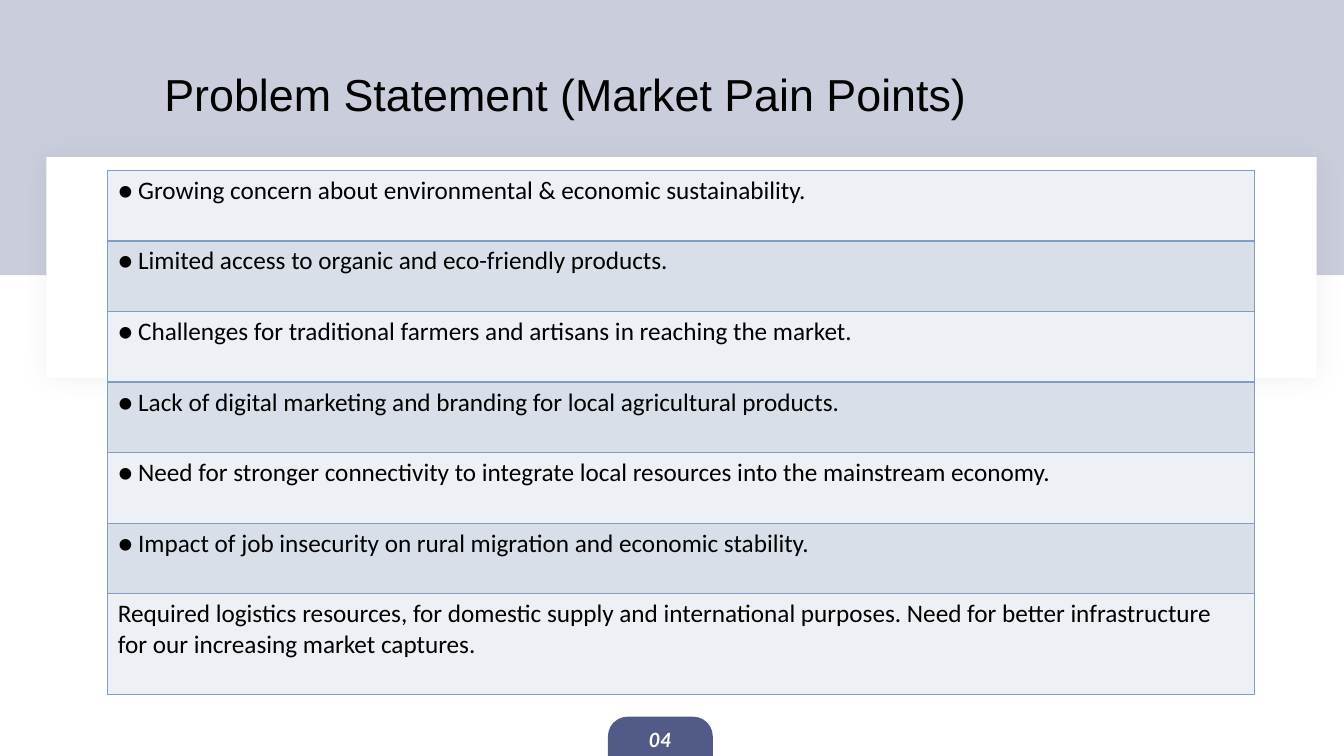
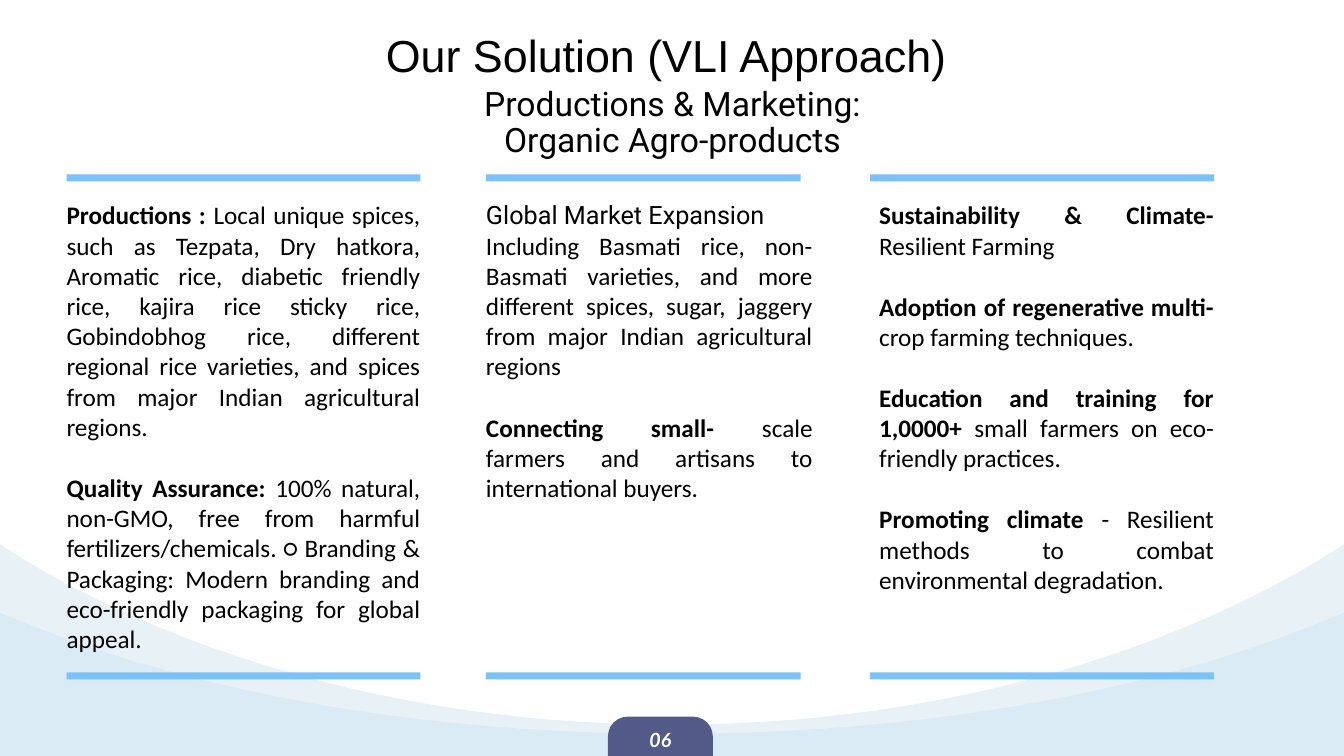
from dataclasses import dataclass
from typing import NamedTuple

from lxml.etree import SubElement
from pptx import Presentation
from pptx.dml.color import RGBColor
from pptx.enum.shapes import MSO_SHAPE
from pptx.enum.text import MSO_ANCHOR, MSO_AUTO_SIZE, PP_ALIGN
from pptx.oxml.ns import qn
from pptx.util import Inches, Pt


@dataclass(frozen=True)
class Theme:
    """Colours, fonts and type sizes shared by the slides."""
    ink: str = "000000"
    white: str = "FFFFFF"
    indigo: str = "525B88"
    sky: str = "7AC2F9"
    mist: str = "E8F1F6"
    row_light: str = "EDF0F4"
    row_dark: str = "D8DFE9"
    row_border: str = "809EC2"
    title_font: str = "Arial"
    accent_font: str = "Roboto"
    body_font: str = "Calibri"
    badge_font: str = "Lato"
    title_size: int = 32
    subtitle_size: int = 24
    body_size: int = 18
    badge_size: int = 14


THEME = Theme()
SLIDE_WIDTH, SLIDE_HEIGHT = 13.33, 7.5


class Box(NamedTuple):
    """A rectangle in inches."""
    left: float
    top: float
    width: float
    height: float

    def emu(self):
        """Return the four lengths for python-pptx."""
        return [Inches(length) for length in self]


class Column(NamedTuple):
    """One solution column: its rules, its text area and its content."""
    left: float
    width: float
    text_left: float
    text_width: float
    heading: str
    points: list


PAIN_POINTS = [
    "Growing concern about environmental & economic sustainability.",
    "Limited access to organic and eco-friendly products.",
    "Challenges for traditional farmers and artisans in reaching the market.",
    "Lack of digital marketing and branding for local agricultural products.",
    "Need for stronger connectivity to integrate local resources into the mainstream economy.",
    "Impact of job insecurity on rural migration and economic stability.",
]
LOGISTICS_NEED = (
    "Required logistics resources, for domestic supply and international purposes. "
    "Need for better infrastructure for our increasing market captures."
)
COLUMNS = [
    Column(0.66, 3.51, 0.66, 3.51, "", [
        ("Productions : ",
         "Local unique spices, such as Tezpata, Dry hatkora, Aromatic rice, diabetic "
         "friendly rice, kajira rice sticky rice, Gobindobhog rice, different regional "
         "rice varieties, and spices from major Indian agricultural regions."),
        ("Quality Assurance: ",
         "100% natural, non-GMO, free from harmful fertilizers/chemicals. ○ Branding & "
         "Packaging: Modern branding and eco-friendly packaging for global appeal."),
    ]),
    Column(4.82, 3.12, 4.82, 3.24, "Global Market Expansion", [
        ("",
         "Including Basmati rice, non-Basmati varieties, and more different spices, "
         "sugar, jaggery from major Indian agricultural regions"),
        ("Connecting small- ", "scale farmers and artisans to international buyers."),
    ]),
    Column(8.63, 3.41, 8.72, 3.32, "", [
        ("Sustainability & Climate-", "Resilient Farming"),
        ("Adoption of regenerative multi-", " crop farming techniques."),
        ("Education and training for 1,0000+ ",
         "small farmers on eco- friendly practices."),
        ("Promoting climate ",
         "- Resilient methods to combat environmental degradation."),
    ]),
]


def add_text(paragraph, text, *, font=THEME.body_font, size=THEME.body_size,
             color=THEME.ink, bold=False, italic=False):
    """Append a formatted run to a paragraph."""
    run = paragraph.add_run()
    run.text = text
    run.font.name = font
    run.font.size = Pt(size)
    run.font.color.rgb = RGBColor.from_string(color)
    run.font.bold = bold
    run.font.italic = italic


def next_paragraph(frame, *, align=PP_ALIGN.LEFT, before=0, spacing=1.0, bullet="", indent=0.2):
    """Return the next free paragraph of a frame, laid out."""
    first = frame.paragraphs[0]
    paragraph = frame.add_paragraph() if first.runs else first
    properties = paragraph._p.get_or_add_pPr()
    hang = Inches(indent) if bullet else 0
    properties.set("marL", str(hang))
    properties.set("indent", str(-hang))
    if bullet:
        SubElement(properties, qn("a:buFont"), typeface=THEME.body_font)
        SubElement(properties, qn("a:buChar"), char=bullet)
    else:
        SubElement(properties, qn("a:buNone"))
    paragraph.alignment = align
    paragraph.space_before = Pt(before)
    paragraph.line_spacing = spacing
    return paragraph


def place(placeholder, box):
    """Move a placeholder to a box, on top, and return its cleared frame."""
    placeholder.left, placeholder.top, placeholder.width, placeholder.height = box.emu()
    tree = placeholder.element.getparent()
    tree.append(placeholder.element)
    frame = placeholder.text_frame
    frame.margin_left = frame.margin_right = frame.margin_top = frame.margin_bottom = 0
    frame.word_wrap = True
    frame.auto_size = MSO_AUTO_SIZE.NONE
    frame.vertical_anchor = MSO_ANCHOR.TOP
    return frame


def paint(shape, color, alpha=100):
    """Give a shape a plain fill without line or shadow."""
    shape.shadow.inherit = False
    shape.fill.solid()
    shape.fill.fore_color.rgb = RGBColor.from_string(color)
    shape.line.fill.background()
    if alpha < 100:
        SubElement(shape.element.spPr.find(".//" + qn("a:srgbClr")), qn("a:alpha"),
                   val=str(alpha * 1000))
    return shape


def add_block(slide, box, color, alpha=100, preset=MSO_SHAPE.RECTANGLE):
    """Add a filled preset shape."""
    return paint(slide.shapes.add_shape(preset, *box.emu()), color, alpha)


def add_glow(shape, blur, alpha):
    """Add a soft centred black shadow."""
    effects = shape.element.spPr.find(qn("a:effectLst"))
    shadow = SubElement(effects, qn("a:outerShdw"), blurRad=str(Pt(blur)), dist="0", dir="0",
                        algn="ctr", rotWithShape="0")
    SubElement(SubElement(shadow, qn("a:srgbClr"), val=THEME.ink), qn("a:alpha"),
               val=str(alpha * 1000))


def add_title(slide, text, box, align=PP_ALIGN.LEFT):
    """Fill the title placeholder."""
    paragraph = next_paragraph(place(slide.shapes.title, box), align=align)
    add_text(paragraph, text, font=THEME.title_font, size=THEME.title_size)


def add_page_badge(slide, number):
    """Add the page number tab at the bottom edge."""
    badge = add_block(slide, Box(6.03, 7.11, 1.04, 0.39), THEME.indigo,
                      preset=MSO_SHAPE.ROUND_2_SAME_RECTANGLE)
    badge.adjustments[0] = 0.5
    frame = badge.text_frame
    frame.vertical_anchor = MSO_ANCHOR.MIDDLE
    add_text(next_paragraph(frame, align=PP_ALIGN.CENTER), number, font=THEME.badge_font,
             size=THEME.badge_size, color=THEME.white, bold=True, italic=True)


def set_borders(cell, color, width=1):
    """Draw the four borders of a table cell."""
    properties = cell._tc.get_or_add_tcPr()
    for side in ("lnL", "lnR", "lnT", "lnB"):
        line = SubElement(properties, qn(f"a:{side}"), w=str(Pt(width)))
        SubElement(SubElement(line, qn("a:solidFill")), qn("a:srgbClr"), val=color)


def add_pain_table(slide, box, last_height=1.0):
    """Add the banded table of pain points."""
    statements = [(point, "●") for point in PAIN_POINTS] + [(LOGISTICS_NEED, "")]
    table = slide.shapes.add_table(len(statements), 1, *box.emu()).table
    table.first_row = table.horz_banding = False
    row_height = (box.height - last_height) / len(PAIN_POINTS)
    for index, (statement, bullet) in enumerate(statements):
        table.rows[index].height = Inches(row_height if bullet else last_height)
        cell = table.cell(index, 0)
        set_borders(cell, THEME.row_border)
        cell.fill.solid()
        band = THEME.row_dark if index % 2 else THEME.row_light
        cell.fill.fore_color.rgb = RGBColor.from_string(band)
        add_text(next_paragraph(cell.text_frame, bullet=bullet), statement)


def curve(start, control_a, control_b, end, steps=24):
    """Return points along a cubic curve after its start."""
    points = []
    for step in range(1, steps + 1):
        t = step / steps
        weights = ((1 - t) ** 3, 3 * t * (1 - t) ** 2, 3 * t ** 2 * (1 - t), t ** 3)
        points.append(tuple(
            sum(weight * value for weight, value in zip(weights, axis))
            for axis in zip(start, control_a, control_b, end)))
    return points


def add_wave(slide, box, shoulder, slope, trough, color, alpha=100):
    """Add a symmetric valley-shaped wave whose depths are relative to its box."""
    middle = box.width / 2
    left_half = [(0, 0), (0.25, shoulder)]
    left_half += curve((0.25, shoulder), (1.94, slope), (4.2, trough), (middle, trough))
    right_half = [(box.width - x, y) for x, y in reversed(left_half[:-1])]
    outline = left_half + right_half + [(box.width, box.height), (0, box.height)]
    points = [(Inches(box.left + x), Inches(box.top + y)) for x, y in outline]
    builder = slide.shapes.build_freeform(*points[0])
    builder.add_line_segments(points[1:], close=True)
    paint(builder.convert_to_shape(), color, alpha)


def add_subtitle(placeholder, box, lines):
    """Add the centred subtitle lines."""
    frame = place(placeholder, box)
    for line in lines:
        paragraph = next_paragraph(frame, align=PP_ALIGN.CENTER, spacing=Pt(26))
        add_text(paragraph, line, font=THEME.accent_font, size=THEME.subtitle_size)


def add_column(slide, placeholder, column, top, bottom):
    """Add one text column between its two rules."""
    for rule_top in (top, bottom):
        add_block(slide, Box(column.left, rule_top, column.width, 0.07), THEME.sky)
    text_box = Box(column.text_left, top + 0.25, column.text_width, bottom - top - 0.4)
    frame = place(placeholder, text_box)
    if column.heading:
        add_text(next_paragraph(frame, align=PP_ALIGN.JUSTIFY), column.heading,
                 font=THEME.accent_font)
    for index, (lead, detail) in enumerate(column.points):
        paragraph = next_paragraph(frame, align=PP_ALIGN.JUSTIFY, before=22 if index else 0)
        if lead:
            add_text(paragraph, lead, bold=True)
        add_text(paragraph, detail)


def build_problem_slide(deck):
    """Build the problem statement slide."""
    slide = deck.slides.add_slide(deck.slide_layouts.get_by_name("Title Only"))
    add_block(slide, Box(-0.02, 0, 13.35, 2.73), THEME.indigo, alpha=30)
    panel = add_block(slide, Box(0.46, 1.56, 12.6, 2.19), THEME.white)
    add_glow(panel, blur=20, alpha=5)
    add_title(slide, "Problem Statement (Market Pain Points)", Box(1.63, 0.66, 8.73, 0.54))
    add_pain_table(slide, Box(1.07, 1.69, 11.37, 5.2))
    add_page_badge(slide, "04")


def build_solution_slide(deck):
    """Build the three-column solution slide."""
    slide = deck.slides.add_slide(deck.slide_layouts.get_by_name("Comparison"))
    subtitle, *bodies = list(slide.placeholders)[1:]
    add_wave(slide, Box(0, 5.4, SLIDE_WIDTH, 2.1), 0.16, 1.17, 1.79, THEME.mist)
    add_wave(slide, Box(0, 6.08, SLIDE_WIDTH, 1.42), 0.1, 0.79, 1.2, THEME.sky, alpha=11)
    add_title(slide, "Our Solution (VLI Approach)", Box(2.93, 0.27, 7.36, 0.54),
              align=PP_ALIGN.CENTER)
    add_subtitle(subtitle, Box(2.99, 0.86, 7.36, 0.76),
                 ["Productions & Marketing:", "Organic Agro-products"])
    for body, column in zip(bodies, COLUMNS):
        add_column(slide, body, column, top=1.73, bottom=6.67)
    add_page_badge(slide, "06")


def main():
    """Build and save the deck."""
    deck = Presentation()
    deck.slide_width, deck.slide_height = Inches(SLIDE_WIDTH), Inches(SLIDE_HEIGHT)
    build_problem_slide(deck)
    build_solution_slide(deck)
    deck.save("out.pptx")


if __name__ == "__main__":
    main()
